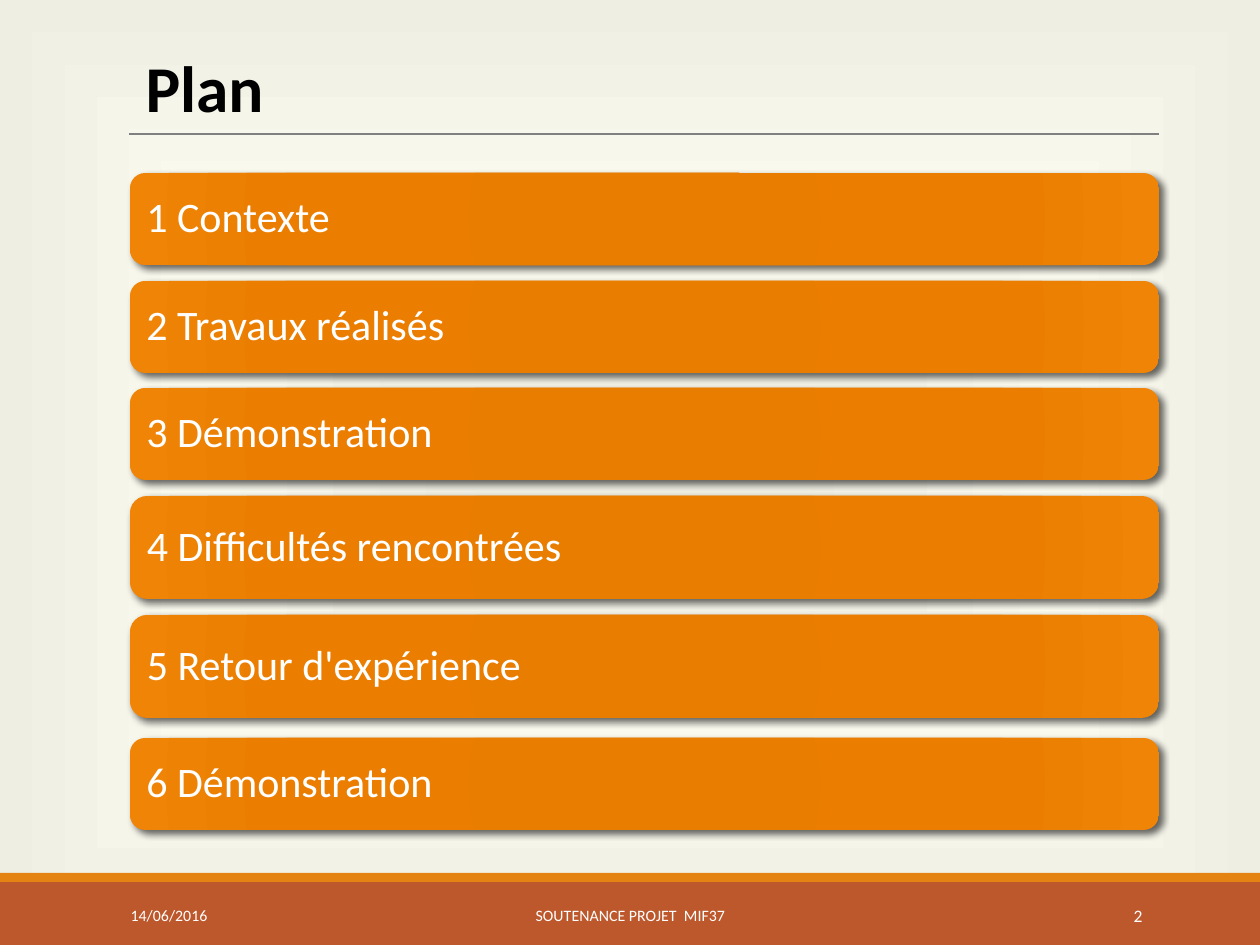
from dataclasses import dataclass

from lxml.etree import SubElement
from pptx import Presentation
from pptx.dml.color import RGBColor
from pptx.dml.fill import FillFormat
from pptx.enum.shapes import MSO_CONNECTOR as Connector, MSO_SHAPE as Preset
from pptx.enum.text import MSO_ANCHOR as Anchor, MSO_AUTO_SIZE as AutoSize, PP_ALIGN as Align
from pptx.oxml.ns import qn
from pptx.oxml.xmlchemy import BaseOxmlElement as Element
from pptx.shapes.autoshape import Shape
from pptx.slide import Slide
from pptx.text.text import TextFrame
from pptx.util import Emu, Pt

FONT = "Calibri"
COLORS = {
    "footer": "BD582C",
    "stripe": "E48312",
    "rule": "808080",
    "title": "000000",
    "light": "FFFFFF",
    "shadow": "000000",
}
BACKGROUND_STOPS = [(0, "EFEEE3"), (59, "FAF9EE"), (100, "EFEEE3")]
BAR_STOPS = [(0, "E57B00"), (34, "E87D00"), (70, "EB7E00"), (100, "EF8407")]


@dataclass(frozen=True)
class Box:
    left: int
    top: int
    width: int
    height: int


@dataclass(frozen=True)
class Bar:
    text: str
    top: int
    height: int


@dataclass(frozen=True)
class Label:
    text: str
    box: Box
    size: float
    align: Align


BARS = [
    Bar("1 Contexte", 173, 92),
    Bar("2 Travaux réalisés", 281, 92),
    Bar("3 Démonstration", 388, 92),
    Bar("4 Difficultés rencontrées", 496, 103),
    Bar("5 Retour d'expérience", 615, 103),
    Bar("6 Démonstration", 738, 92),
]
LABELS = [
    Label("14/06/2016", Box(114, 890, 255, 51), 6.8, Align.LEFT),
    Label("SOUTENANCE PROJET  MIF37", Box(381, 890, 499, 51), 6.8, Align.CENTER),
    Label("2", Box(1023, 890, 136, 51), 7.5, Align.RIGHT),
]


def px(value: int) -> Emu:
    return Emu(round(value * 914400 / 168))


def bounds(box: Box) -> tuple[Emu, Emu, Emu, Emu]:
    return px(box.left), px(box.top), px(box.width), px(box.height)


def apply_gradient(fill: FillFormat, owner: Element, stops: list[tuple[int, str]],
                   form: str, focus: int) -> None:
    fill.gradient()
    gradient = next(owner.iter(qn("a:gradFill")))
    for child in list(gradient):
        gradient.remove(child)
    stop_list = SubElement(gradient, qn("a:gsLst"))
    for position, color in stops:
        stop = SubElement(stop_list, qn("a:gs"), pos=str(position * 1000))
        SubElement(stop, qn("a:srgbClr"), val=color)
    shade = SubElement(gradient, qn("a:path"), path=form)
    SubElement(shade, qn("a:fillToRect"), {side: str(focus * 1000) for side in "ltrb"})


def apply_shadow(shape: Shape) -> None:
    effects = next(shape.element.iter(qn("a:effectLst")))
    shadow = SubElement(effects, qn("a:outerShdw"), blurRad=str(Pt(3)), dist=str(Pt(2)),
                        dir=str(45 * 60000), rotWithShape="0")
    color = SubElement(shadow, qn("a:srgbClr"), val=COLORS["shadow"])
    SubElement(color, qn("a:alpha"), val="60000")


def write_text(frame: TextFrame, text: str, *, size: float, color: str = "light",
               bold: bool = False, align: Align = Align.LEFT,
               anchor: Anchor = Anchor.MIDDLE, spacing: float = 1.0) -> None:
    frame.word_wrap = True
    frame.vertical_anchor = anchor
    paragraph = frame.paragraphs[0]
    paragraph.alignment = align
    paragraph.line_spacing = spacing
    run = paragraph.add_run()
    run.text = text
    run.font.name = FONT
    run.font.size = Pt(size)
    run.font.bold = bold
    run.font.color.rgb = RGBColor.from_string(COLORS[color])


def add_plain_shape(slide: Slide, preset: Preset, box: Box) -> Shape:
    shape = slide.shapes.add_shape(preset, *bounds(box))
    shape.shadow.inherit = False
    shape.line.fill.background()
    return shape


def add_band(slide: Slide, box: Box, color: str) -> None:
    band = add_plain_shape(slide, Preset.RECTANGLE, box)
    band.fill.solid()
    band.fill.fore_color.rgb = RGBColor.from_string(COLORS[color])


def add_rule(slide: Slide) -> None:
    rule = slide.shapes.add_connector(Connector.STRAIGHT, px(129), px(134), px(1159), px(134))
    rule.line.color.rgb = RGBColor.from_string(COLORS["rule"])
    rule.line.width = Pt(0.5)
    SubElement(rule.element.spPr, qn("a:effectLst"))


def add_title(slide: Slide) -> None:
    title = slide.shapes.add_textbox(*bounds(Box(129, 39, 1045, 96)))
    write_text(title.text_frame, "Plan", size=28, color="title", bold=True, anchor=Anchor.TOP)
    title.text_frame.auto_size = AutoSize.SHAPE_TO_FIT_TEXT


def add_label(slide: Slide, label: Label) -> None:
    box = slide.shapes.add_textbox(*bounds(label.box))
    write_text(box.text_frame, label.text, size=label.size, align=label.align)


def add_bar(slide: Slide, bar: Bar) -> None:
    shape = add_plain_shape(slide, Preset.ROUNDED_RECTANGLE, Box(130, bar.top, 1029, bar.height))
    apply_gradient(shape.fill, shape.element, BAR_STOPS, "circle", 100)
    apply_shadow(shape)
    frame = shape.text_frame
    frame.margin_left = frame.margin_right = px(12)
    frame.margin_top = frame.margin_bottom = px(12)
    write_text(frame, bar.text, size=18, spacing=0.9)


def main() -> None:
    presentation = Presentation()
    presentation.slide_width = px(1260)
    presentation.slide_height = px(945)
    slide = presentation.slides.add_slide(presentation.slide_layouts[6])
    apply_gradient(slide.background.fill, slide.element, BACKGROUND_STOPS, "shape", 50)
    add_band(slide, Box(0, 882, 1260, 63), "footer")
    add_band(slide, Box(0, 873, 1260, 9), "stripe")
    add_rule(slide)
    add_title(slide)
    for label in LABELS:
        add_label(slide, label)
    for bar in BARS:
        add_bar(slide, bar)
    presentation.save("out.pptx")


if __name__ == "__main__":
    main()
